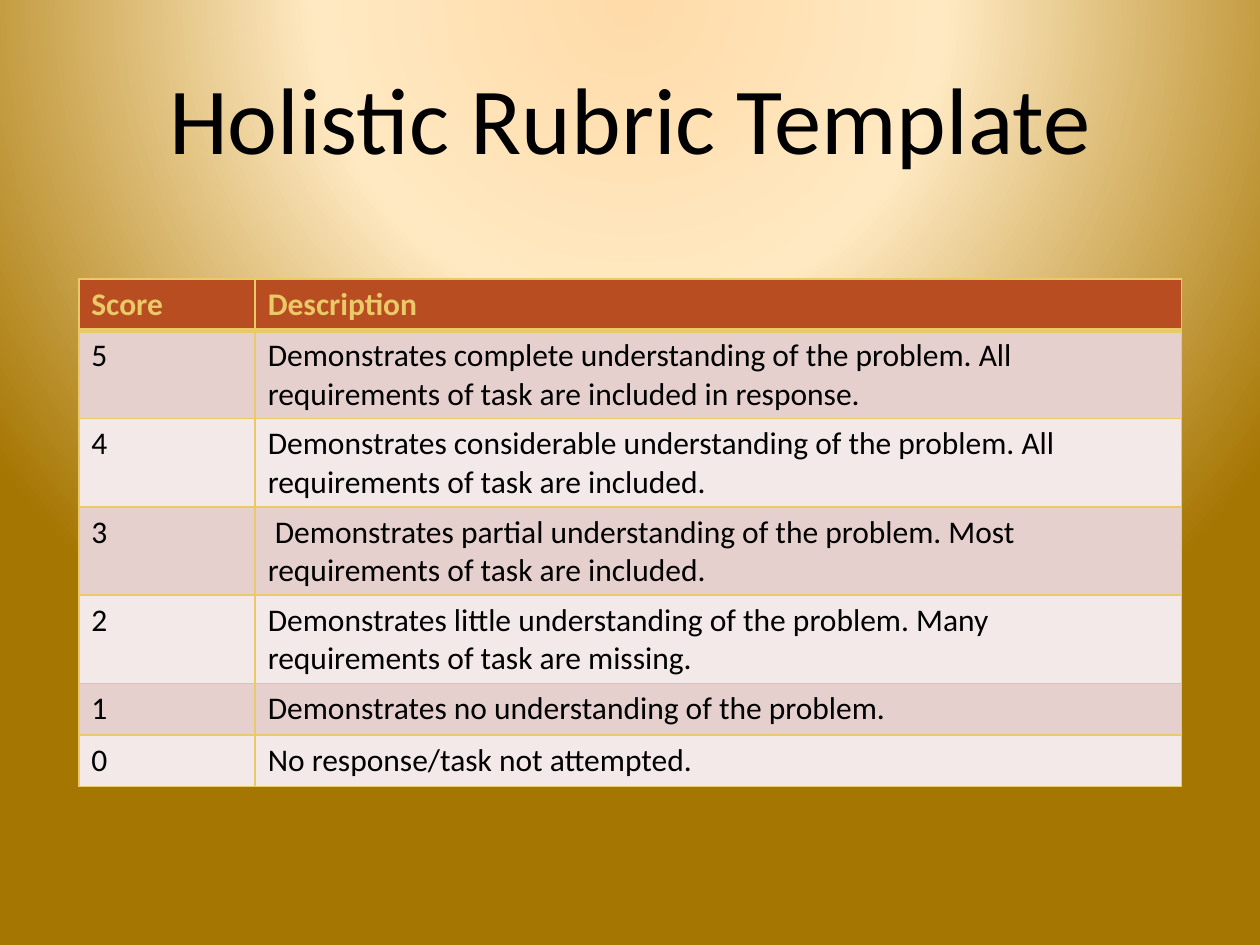
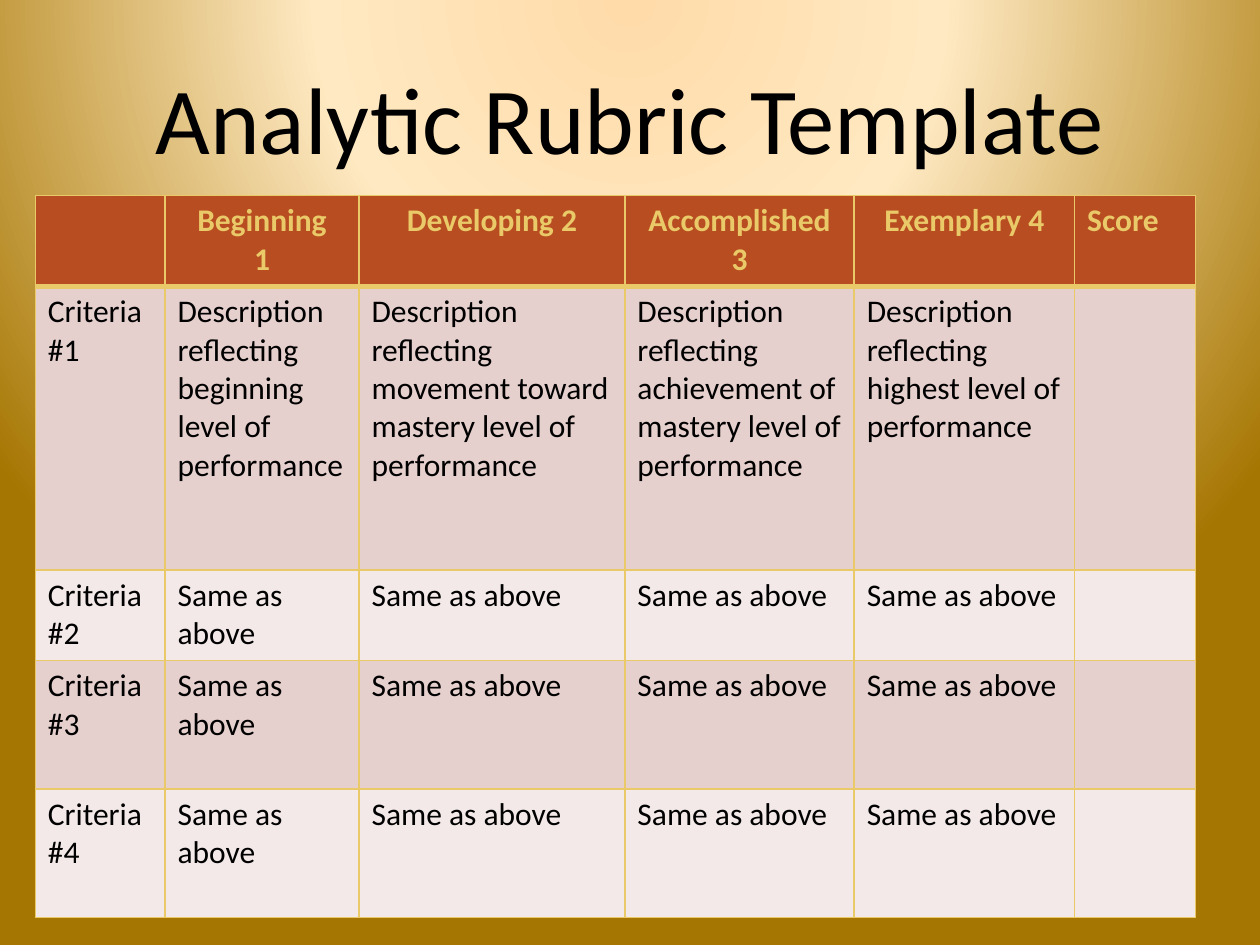
from collections import namedtuple

from pptx import Presentation
from pptx.dml.color import RGBColor
from pptx.enum.text import MSO_ANCHOR, PP_ALIGN
from pptx.oxml import parse_xml
from pptx.oxml.ns import nsdecls, qn
from pptx.util import Inches, Pt

WIDTH, HEIGHT = Inches(10), Inches(7.5)
FONT = "Calibri"
BLACK = RGBColor(0x00, 0x00, 0x00)
GOLD = RGBColor(0xEA, 0xC9, 0x68)
RUST = RGBColor(0xB7, 0x4D, 0x21)
ROSE = RGBColor(0xE6, 0xD0, 0xCD)
BLUSH = RGBColor(0xF3, 0xE9, 0xE8)
GLOW = ((0, RGBColor(0xFF, 0xDB, 0xA9)), (40, RGBColor(0xFF, 0xE9, 0xC2)),
        (100, RGBColor(0xA6, 0x76, 0x02)))

Box = namedtuple("Box", "left top width height")


def share(left, top, width, height):
    return Box(int(left * WIDTH), int(top * HEIGHT), int(width * WIDTH), int(height * HEIGHT))


TITLE_BOX = share(0.0625, 0.04, 0.875, 0.167)
HOLISTIC_BOX = share(0.0625, 0.295, 0.875, 0.537)
ANALYTIC_BOX = share(0.028, 0.207, 0.921, 0.764)

HOLISTIC_ROWS = (
    ("Score", "Description"),
    ("5", "Demonstrates complete understanding of the problem. All requirements of task "
          "are included in response."),
    ("4", "Demonstrates considerable understanding of the problem. All requirements of task "
          "are included."),
    ("3", " Demonstrates partial understanding of the problem. Most requirements of task "
          "are included."),
    ("2", "Demonstrates little understanding of the problem. Many requirements of task "
          "are missing."),
    ("1", "Demonstrates no understanding of the problem."),
    ("0", "No response/task not attempted."),
)
ANALYTIC_ROWS = (
    ("", "Beginning\n1", "Developing 2", "Accomplished 3", "Exemplary 4", "Score"),
    ("Criteria #1",
     "Description reflecting beginning level of performance",
     "Description reflecting movement toward mastery level of performance",
     "Description reflecting achievement of mastery level of performance",
     "Description reflecting highest level of performance", ""),
    *((f"Criteria #{number}", *["Same as above"] * 4, "") for number in (2, 3, 4)),
)


def paint_background(master):
    master.background.fill.gradient()
    stops = "".join(f'<a:gs pos="{at * 1000}"><a:srgbClr val="{color}"/></a:gs>'
                    for at, color in GLOW)
    glow = parse_xml(
        f'<a:gradFill {nsdecls("a")} rotWithShape="1"><a:gsLst>{stops}</a:gsLst>'
        '<a:path path="circle"><a:fillToRect l="50000" t="-80000" r="50000" b="180000"/>'
        '</a:path></a:gradFill>')
    linear = master.element.find(".//" + qn("p:bgPr") + "/" + qn("a:gradFill"))
    linear.getparent().replace(linear, glow)


def write(paragraph, text, size, color, bold=False):
    for index, line in enumerate(text.split("\n")):
        if index:
            paragraph.add_line_break()
        run = paragraph.add_run()
        run.text = line
        run.font.name = FONT
        run.font.size = Pt(size)
        run.font.bold = bold
        run.font.color.rgb = color


def add_title(slide, box, text):
    frame = slide.shapes.add_textbox(*box).text_frame
    frame.word_wrap = True
    frame.vertical_anchor = MSO_ANCHOR.MIDDLE
    heading = frame.paragraphs[0]
    heading.alignment = PP_ALIGN.CENTER
    write(heading, text, 54, BLACK)


def add_borders(cell, top, bottom):
    edges = (("L", 1), ("R", 1), ("T", top), ("B", bottom))
    for index, (side, points) in enumerate(edges):
        cell._tc.get_or_add_tcPr().insert(index, parse_xml(
            f'<a:ln{side} {nsdecls("a")} w="{Pt(points)}"><a:solidFill>'
            f'<a:srgbClr val="{GOLD}"/></a:solidFill></a:ln{side}>'))


def add_rubric(slide, box, rows, column_parts, row_parts, centred=()):
    table = slide.shapes.add_table(len(rows), len(column_parts), *box).table
    table.horz_banding = False
    for column, part in zip(table.columns, column_parts):
        column.width = int(box.width * part / sum(column_parts))
    for row, part in zip(table.rows, row_parts):
        row.height = int(box.height * part / sum(row_parts))
    for r, texts in enumerate(rows):
        header = r == 0
        for c, text in enumerate(texts):
            cell = table.cell(r, c)
            cell.fill.solid()
            cell.fill.fore_color.rgb = RUST if header else (BLUSH, ROSE)[r % 2]
            add_borders(cell, top=3 if r == 1 else 1, bottom=3 if header else 1)
            entry = cell.text_frame.paragraphs[0]
            if header and c in centred:
                entry.alignment = PP_ALIGN.CENTER
            if text:
                write(entry, text, 18, GOLD if header else BLACK, header)


def add_rubric_slide(prs, title, *rubric, **options):
    slide = prs.slides.add_slide(prs.slide_layouts[6])
    add_title(slide, TITLE_BOX, title)
    add_rubric(slide, *rubric, **options)


def main():
    prs = Presentation()
    prs.slide_width, prs.slide_height = WIDTH, HEIGHT
    paint_background(prs.slide_master)
    add_rubric_slide(prs, "Holistic Rubric Template", HOLISTIC_BOX, HOLISTIC_ROWS,
                     (1.4, 7.35), (0.41, 0.7, 0.7, 0.7, 0.7, 0.41, 0.41))
    add_rubric_slide(prs, "Analytic Rubric Template", ANALYTIC_BOX, ANALYTIC_ROWS,
                     (1.03, 1.54, 2.11, 1.82, 1.75, 0.96), (0.72, 2.25, 0.72, 1.02, 1.02),
                     centred=range(1, 5))
    prs.save("out.pptx")


if __name__ == "__main__":
    main()
